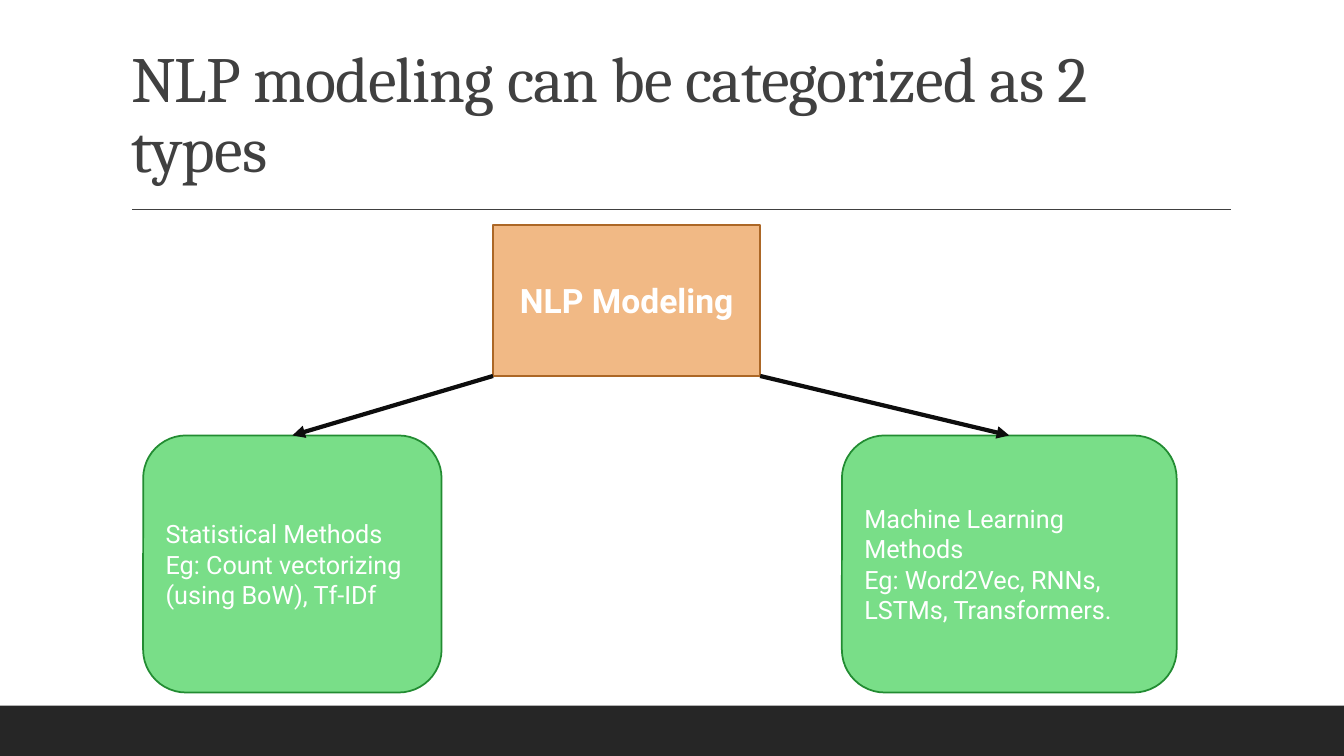
from pptx import Presentation
from pptx.dml.color import RGBColor
from pptx.enum.shapes import MSO_CONNECTOR, MSO_SHAPE
from pptx.enum.text import MSO_ANCHOR, MSO_AUTO_SIZE, PP_ALIGN
from pptx.oxml.ns import qn
from pptx.oxml.xmlchemy import OxmlElement
from pptx.util import Pt

PX = 9144  # 100 px to the inch
THEME = {
    "heading_font": "Cambria", "body_font": "Roboto",
    "title_size": 46, "root_size": 24, "branch_size": 18,
    "title": "404040", "footer": "262626", "text": "FFFFFF", "arrow": "0D0D0D",
    "root": ("F1B985", "AC6726"), "branch": ("79DE88", "228C32"),
}


def add_box(preset, bounds, colors, lines, size, align=PP_ALIGN.LEFT, bold=False):
    box = slide.shapes.add_shape(preset, *(n * PX for n in bounds))
    box.shadow.inherit = False
    fill, outline = colors
    box.fill.solid()
    box.fill.fore_color.rgb = RGBColor.from_string(fill)
    if outline:
        box.line.color.rgb = RGBColor.from_string(outline)
        box.line.width = Pt(1.25)
    else:
        box.line.fill.background()
    if lines:
        box.text_frame.text = "\n".join(lines)
        box.text_frame.vertical_anchor = MSO_ANCHOR.MIDDLE
        for paragraph in box.text_frame.paragraphs:
            paragraph.alignment = align
            paragraph.font.name = THEME["body_font"]
            paragraph.font.size = Pt(size)
            paragraph.font.bold = bold
            paragraph.font.color.rgb = RGBColor.from_string(THEME["text"])
    return box


def add_line(start, end, color, width):
    line = slide.shapes.add_connector(
        MSO_CONNECTOR.STRAIGHT, *(n * PX for n in (*start, *end)))
    line.line.color.rgb = RGBColor.from_string(color)
    line.line.width = Pt(width)
    line.element.spPr.append(OxmlElement("a:effectLst"))
    return line


prs = Presentation()
prs.slide_width, prs.slide_height = 1333 * PX, 750 * PX
slide = prs.slides.add_slide(prs.slide_layouts[5])

# Footer band and title rule
add_box(MSO_SHAPE.RECTANGLE, (0, 700, 1333, 50), (THEME["footer"], None), [], 0)
add_line((131, 208), (1221, 208), THEME["title"], 1)

# Title
title = slide.shapes.title
title.left, title.top, title.width, title.height = (n * PX for n in (120, 31, 1100, 159))
title.text_frame.text = "NLP modeling can be categorized as 2 types"
title.text_frame.word_wrap = True
title.text_frame.auto_size = MSO_AUTO_SIZE.NONE
title.text_frame.vertical_anchor = MSO_ANCHOR.BOTTOM
heading = title.text_frame.paragraphs[0]
heading.alignment = PP_ALIGN.LEFT
heading.line_spacing = 0.9
heading.font.name = THEME["heading_font"]
heading.font.size = Pt(THEME["title_size"])
heading.font.color.rgb = RGBColor.from_string(THEME["title"])
for properties in title.element.iter(qn("a:defRPr")):
    properties.set("spc", "-50")

# Root of the tree
root_left, root_top, root_width, root_height = root_bounds = (489, 223, 265, 150)
add_box(MSO_SHAPE.RECTANGLE, root_bounds, THEME["root"], ["NLP Modeling"],
        THEME["root_size"], PP_ALIGN.CENTER, True)

# Branches, each with an arrow from a lower corner of the root
branches = [
    (142, 296, root_left,
     ["Statistical Methods", "Eg: Count vectorizing (using BoW), Tf-IDf"]),
    (835, 332, root_left + root_width,
     ["Machine Learning Methods", "Eg: Word2Vec, RNNs, LSTMs, Transformers."]),
]
branch_top, branch_height = 432, 255
for left, width, corner, lines in branches:
    branch = add_box(MSO_SHAPE.ROUNDED_RECTANGLE, (left, branch_top, width, branch_height),
                     THEME["branch"], lines, THEME["branch_size"])
    arrow = add_line((corner, root_top + root_height), (left + width // 2, branch_top),
                     THEME["arrow"], 3)
    arrow.end_connect(branch, 0)
    arrowhead = OxmlElement("a:tailEnd")
    arrowhead.set("type", "triangle")
    arrow.line.fill  # the outline already holds its colour; the head follows it
    arrow.element.spPr.find(qn("a:ln")).append(arrowhead)

prs.save("out.pptx")
